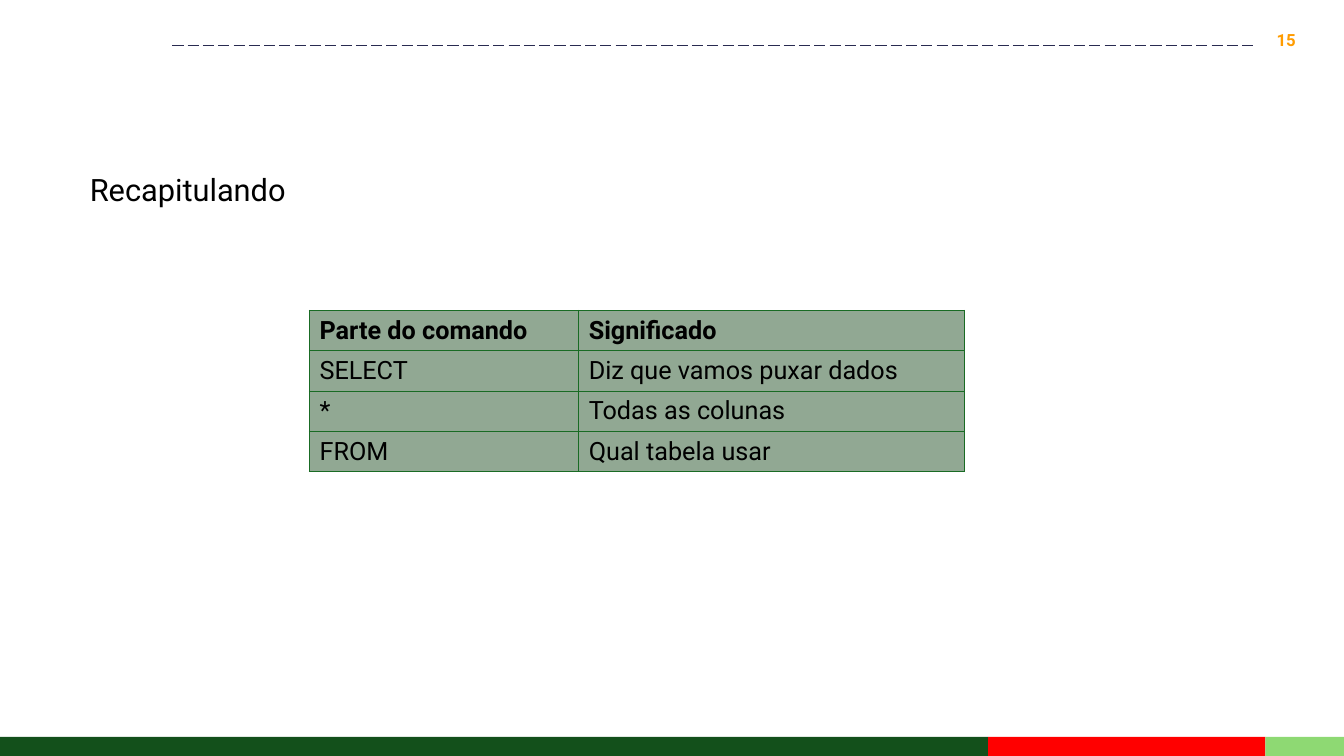
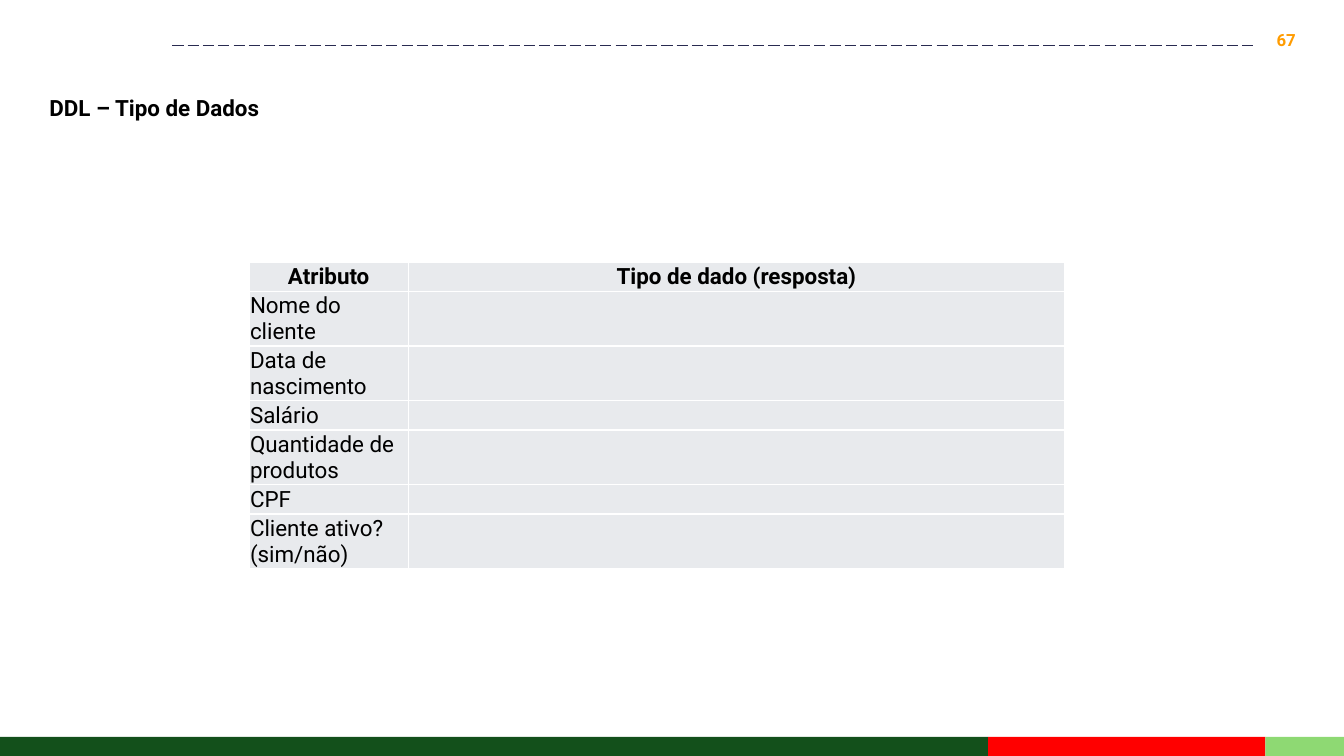
from dataclasses import dataclass
from typing import Optional

from lxml.etree import SubElement
from pptx import Presentation
from pptx.dml.color import RGBColor
from pptx.enum.dml import MSO_LINE
from pptx.enum.shapes import MSO_CONNECTOR as Link, MSO_SHAPE as Shape
from pptx.enum.text import MSO_ANCHOR as Anchor, MSO_AUTO_SIZE as Fit, PP_ALIGN as Align
from pptx.oxml.ns import qn
from pptx.util import Pt

PX = 9144  # 100 px to the inch
WIDE, HIGH = 1333, 750
FONT = "Roboto"

BLACK = RGBColor(0x00, 0x00, 0x00)
WHITE = RGBColor(0xFF, 0xFF, 0xFF)
NAVY = RGBColor(0x29, 0x2B, 0x51)
AMBER = RGBColor(0xFF, 0x9C, 0x00)
FOREST = RGBColor(0x13, 0x50, 0x1B)
RED = RGBColor(0xFF, 0x00, 0x00)
LIME = RGBColor(0x8E, 0xD9, 0x73)
GREEN = RGBColor(0x19, 0x6B, 0x24)
SAGE = RGBColor(0x91, 0xA8, 0x93)
MIST = RGBColor(0xE8, 0xEA, 0xED)

BANDS = ((980, FOREST), (275, RED), (78, LIME))
BAND_TOP = 731


@dataclass(frozen=True)
class Box:
    left: int
    top: int
    width: int
    height: int

    def emu(self) -> tuple[int, ...]:
        return tuple(n * PX for n in (self.left, self.top, self.width, self.height))


@dataclass(frozen=True)
class Style:
    size: int
    bold: bool = False
    color: RGBColor = BLACK
    align: Align = Align.LEFT
    lead: Optional[float] = None


@dataclass(frozen=True)
class Grid:
    left: int
    top: int
    cols: tuple[int, ...]
    row: int
    rows: tuple[tuple[str, ...], ...]
    size: int
    head: Align
    fill: RGBColor
    edge: RGBColor
    inset: Optional[tuple[int, int, int, int]] = None


@dataclass(frozen=True)
class Page:
    number: str
    title: str
    place: Box
    style: Style
    grid: Grid


PAGES = (
    Page(
        "15", "Recapitulando", Box(79, 164, 1084, 47), Style(22),
        Grid(
            307, 308, (267, 383), 40,
            (
                ("Parte do comando", "Significado"),
                ("SELECT", "Diz que vamos puxar dados"),
                ("*", "Todas as colunas"),
                ("FROM", "Qual tabela usar"),
            ),
            18, Align.LEFT, SAGE, GREEN,
        ),
    ),
    Page(
        "67", "DDL – Tipo de Dados", Box(39, 75, 789, 46),
        Style(16, bold=True, lead=1.5),
        Grid(
            247, 260, (158, 651), 29,
            (
                ("Atributo", "Tipo de dado (resposta)"),
                ("Nome do cliente", ""),
                ("Data de nascimento", ""),
                ("Salário", ""),
                ("Quantidade de produtos", ""),
                ("CPF", ""),
                ("Cliente ativo? (sim/não)", ""),
            ),
            16, Align.CENTER, MIST, WHITE, (1, 1, 1, 0),
        ),
    ),
)


def write(frame, text: str, style: Style) -> None:
    """Fill the frame's first paragraph; an empty text only sets its size."""
    para = frame.paragraphs[0]
    para.alignment = style.align
    if style.lead:
        para.line_spacing = style.lead
    if not text:
        SubElement(para._p, qn("a:endParaRPr"), sz=str(style.size * 100))
        return
    run = para.add_run()
    run.text = text
    font = run.font
    font.name, font.size, font.bold = FONT, Pt(style.size), style.bold
    font.color.rgb = style.color


def add_frame(slide, number: str) -> None:
    """Draw the footer bands, the dashed rule and the page number."""
    left = 0
    for width, color in BANDS:
        box = Box(left, BAND_TOP, width, HIGH - BAND_TOP)
        band = slide.shapes.add_shape(Shape.RECTANGLE, *box.emu())
        band.shadow.inherit = False
        band.fill.solid()
        band.fill.fore_color.rgb = color
        band.line.fill.background()
        left += width

    rule = slide.shapes.add_connector(
        Link.STRAIGHT, 171 * PX, 45 * PX, 1244 * PX, 45 * PX)
    rule.line.color.rgb = NAVY
    rule.line.width = Pt(1)
    rule.line.dash_style = MSO_LINE.LONG_DASH
    SubElement(rule._element.spPr, qn("a:effectLst"))

    frame = slide.shapes.add_textbox(*Box(1244, 20, 51, 40).emu()).text_frame
    frame.word_wrap = True
    frame.vertical_anchor = Anchor.MIDDLE
    write(frame, number, Style(12, True, AMBER, Align.RIGHT))


def set_title(slide, page: Page) -> None:
    title = slide.shapes.title
    title.left, title.top, title.width, title.height = page.place.emu()
    frame = title.text_frame
    frame.word_wrap = True
    frame.auto_size = Fit.SHAPE_TO_FIT_TEXT
    frame.vertical_anchor = Anchor.TOP
    write(frame, page.title, page.style)


def set_edges(cell, color: RGBColor) -> None:
    props = cell._tc.get_or_add_tcPr()
    for side in ("lnL", "lnR", "lnT", "lnB"):
        line = SubElement(props, qn(f"a:{side}"), w=str(Pt(1)))
        fill = SubElement(line, qn("a:solidFill"))
        SubElement(fill, qn("a:srgbClr"), val=str(color))


def add_grid(slide, grid: Grid) -> None:
    count = len(grid.rows)
    box = Box(grid.left, grid.top, sum(grid.cols), count * grid.row)
    table = slide.shapes.add_table(count, len(grid.cols), *box.emu()).table
    table.first_row = table.horz_banding = False
    for col, width in zip(table.columns, grid.cols):
        col.width = width * PX
    for r, texts in enumerate(grid.rows):
        table.rows[r].height = grid.row * PX
        style = Style(grid.size, r == 0, align=Align.LEFT if r else grid.head)
        for c, text in enumerate(texts):
            cell = table.cell(r, c)
            set_edges(cell, grid.edge)
            cell.fill.solid()
            cell.fill.fore_color.rgb = grid.fill
            cell.vertical_anchor = Anchor.MIDDLE
            if grid.inset:
                (cell.margin_left, cell.margin_top,
                 cell.margin_right, cell.margin_bottom) = (n * PX for n in grid.inset)
            write(cell.text_frame, text, style)


def main() -> None:
    deck = Presentation()
    deck.slide_width, deck.slide_height = WIDE * PX, HIGH * PX
    layout = deck.slide_layouts.get_by_name("Title Only")
    for page in PAGES:
        slide = deck.slides.add_slide(layout)
        add_frame(slide, page.number)
        set_title(slide, page)
        add_grid(slide, page.grid)
    deck.save("out.pptx")


if __name__ == "__main__":
    main()
